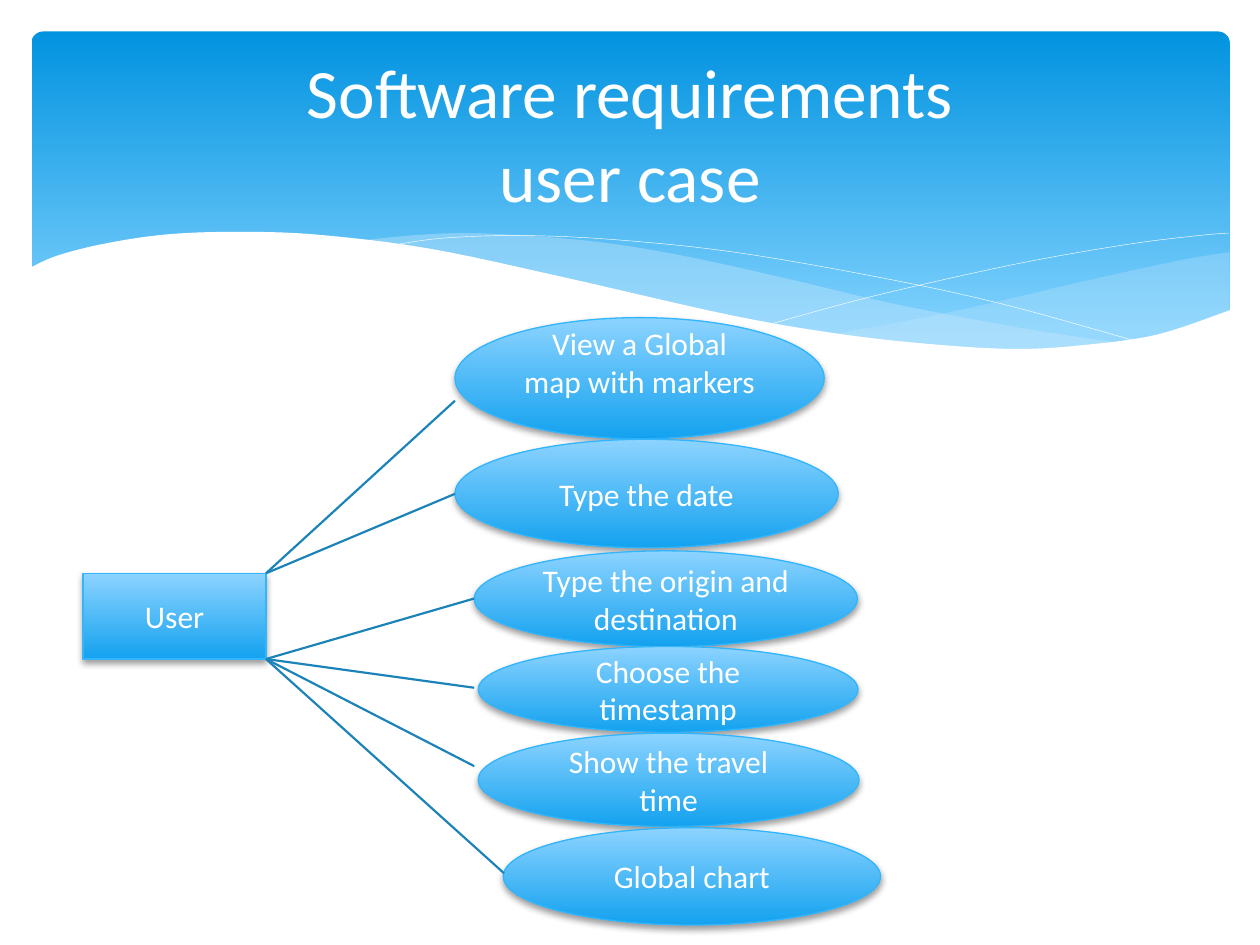
from lxml import etree
from pptx import Presentation
from pptx.dml import color as dml
from pptx.enum import shapes, text
from pptx.oxml import ns
from pptx.util import Pt

COLORS = {
    "white": "FFFFFF", "banner_top": "0293E0", "banner_bottom": "83D3FE",
    "wave": "C6E7FC", "node_top": "8CD3FF", "node_bottom": "14A2EF",
    "node_line": "31B6FD", "link": "1C83B9", "shadow": "000000",
}


def rgb(name):
    return dml.RGBColor.from_string(COLORS[name])


def smooth(knots, steps=6):
    """Return points on a Catmull-Rom curve through the knots."""
    padded = [knots[0], *knots, knots[-1]]
    points = [knots[0]]
    for a, b, c, d in zip(padded, padded[1:], padded[2:], padded[3:]):
        for step in range(1, steps + 1):
            t = step / steps
            points.append(tuple(
                (2 * q + (r - p) * t + (2 * p - 5 * q + 4 * r - s) * t ** 2
                 + (3 * q - p - 3 * r + s) * t ** 3) / 2
                for p, q, r, s in zip(a, b, c, d)))
    return points


class SlideBuilder:
    font = "Calibri"
    title_size, node_size = 39.6, 18

    def __init__(self, slide):
        self.slide = slide

    def add_text(self, frame, lines, size):
        frame.word_wrap = True
        frame.vertical_anchor = text.MSO_ANCHOR.MIDDLE
        paragraph = frame.paragraphs[0]
        paragraph.alignment = text.PP_ALIGN.CENTER
        for index, line in enumerate(lines):
            if index:
                paragraph.add_line_break()
            run = paragraph.add_run()
            run.text = line
            run.font.name, run.font.size = self.font, Pt(size)
            run.font.color.rgb = rgb("white")

    def title(self, lines, left, top, width, height):
        title = self.slide.shapes.title
        title.left, title.top = Pt(left), Pt(top)
        title.width, title.height = Pt(width), Pt(height)
        self.add_text(title.text_frame, lines, self.title_size)
        # Bring the title in front of the banner
        self.slide.shapes._spTree.append(title._element)

    def gradient_shape(self, kind, box, top_color, bottom_color, end=1.0):
        shape = self.slide.shapes.add_shape(kind, *map(Pt, box))
        shape.shadow.inherit = False
        shape.fill.gradient()
        shape.fill.gradient_angle = 270
        for stop, name, position in zip(
                shape.fill.gradient_stops, (top_color, bottom_color), (0, end)):
            stop.color.rgb, stop.position = rgb(name), position
        shape.line.fill.background()
        return shape

    def node(self, kind, label, box, bottom_inset=3.6):
        shape = self.gradient_shape(kind, box, "node_top", "node_bottom")
        shape.line.color.rgb, shape.line.width = rgb("node_line"), Pt(0.75)
        effects = shape._element.spPr.find(ns.qn("a:effectLst"))
        shadow = etree.SubElement(
            effects, ns.qn("a:outerShdw"), blurRad=str(Pt(4)), dist=str(Pt(2)),
            dir="5400000", rotWithShape="0")
        tint = etree.SubElement(shadow, ns.qn("a:srgbClr"), val=COLORS["shadow"])
        etree.SubElement(tint, ns.qn("a:alpha"), val="38000")
        shape.text_frame.margin_bottom = Pt(bottom_inset)
        self.add_text(shape.text_frame, [label], self.node_size)

    def outline(self, points, fill=None, alpha=100):
        """Draw a filled area, or a thin white curve when fill is None."""
        points = [(Pt(x), Pt(y)) for x, y in points]
        freeform = self.slide.shapes.build_freeform(*points[0])
        freeform.add_line_segments(points[1:], close=fill is not None)
        shape = freeform.convert_to_shape()
        shape.shadow.inherit = False
        if fill is None:
            shape.fill.background()
            shape.line.color.rgb, shape.line.width = rgb("white"), Pt(0.25)
            return
        shape.fill.solid()
        shape.fill.fore_color.rgb = rgb(fill)
        shape.line.fill.background()
        tint = shape._element.spPr.find(".//" + ns.qn("a:srgbClr"))
        etree.SubElement(tint, ns.qn("a:alpha"), val=str(alpha * 1000))

    def link(self, start, end):
        connector = self.slide.shapes.add_connector(
            shapes.MSO_CONNECTOR.STRAIGHT, *map(Pt, (*start, *end)))
        connector.line.color.rgb, connector.line.width = rgb("link"), Pt(1.25)
        etree.SubElement(connector._element.spPr, ns.qn("a:effectLst"))


presentation = Presentation()
presentation.slide_width, presentation.slide_height = Pt(720), Pt(540)
builder = SlideBuilder(presentation.slides.add_slide(presentation.slide_layouts[5]))
SHAPE = shapes.MSO_SHAPE

# Banner
banner = builder.gradient_shape(
    SHAPE.ROUNDED_RECTANGLE, (18, 18, 684.7, 194.4),
    "banner_top", "banner_bottom", 0.9)
banner.adjustments[0] = 0.034

# Translucent waves: upper edge, lower edge, opacity
waves = [
    ([(702.7, 144), (673, 149), (620, 160.6), (542, 178.6), (476, 191)],
     [(476, 191), (518, 196), (554, 199), (586, 200), (628, 197),
      (668, 189.5), (702.7, 178)], 29),
    ([(643, 196.5), (581, 187), (508, 173), (453, 160), (389.5, 146),
      (335, 137.5), (273.6, 133.3), (236, 134.5), (206, 137.5)],
     [(206, 137.5), (260.6, 146), (323, 160), (407.5, 178.5), (468, 190),
      (520, 197), (565, 200), (603, 200), (643, 196.5)], 40),
]
for upper, lower, alpha in waves:
    builder.outline(smooth(upper) + smooth(lower)[1:], "wave", alpha)

# Thin white curves
for curve in (
        [(222.5, 140.4), (254, 136), (299.5, 134.6), (352, 137), (419, 144),
         (500, 158), (572, 173.5), (653, 196)],
        [(441, 185), (500, 169), (580, 151), (644, 139.7), (685, 134.6),
         (702, 133.2)]):
    builder.outline(smooth(curve))

# White area that cuts the lower edge of the banner
edge = [(703.5, 177), (662, 191), (621, 197), (582, 199.4), (536, 197),
        (481, 191), (417, 180), (322, 158.4), (245, 142), (180, 134),
        (133, 132.5), (95, 134), (61, 139), (33, 146), (16.5, 153.4)]
builder.outline(smooth(edge) + [(16.5, 237), (703.5, 237)], "white")

builder.title(["Software requirements", "user case"], 36, 26.6, 648, 98.6)

# User and use cases: label, box, end of link, bottom inset
user_left, user_top, user_width, user_height = user_box = 47.5, 327.6, 104.5, 49
builder.node(SHAPE.RECTANGLE, "User", user_box)
use_cases = [
    ("View a Global map with markers", (260, 181.5, 211, 69.2), (260, 229), 22),
    ("Type the date", (260, 251, 219, 62), (260, 282.2), 3.6),
    ("Type the origin and destination", (271, 314.8, 219, 54.7), (271, 342), 3.6),
    ("Choose the timestamp", (273.3, 369.4, 217, 49), (271, 393), 3.6),
    ("Show the travel time", (273.3, 419, 217.6, 53.3), (271, 437.8), 3.6),
    ("Global chart", (287.6, 473, 215.6, 55.6), (288, 499), 3.6),
]
for index, (label, box, link_end, inset) in enumerate(use_cases):
    builder.node(SHAPE.OVAL, label, box, inset)
    corner_y = user_top if index < 2 else user_top + user_height
    builder.link((user_left + user_width, corner_y), link_end)

presentation.save("out.pptx")
